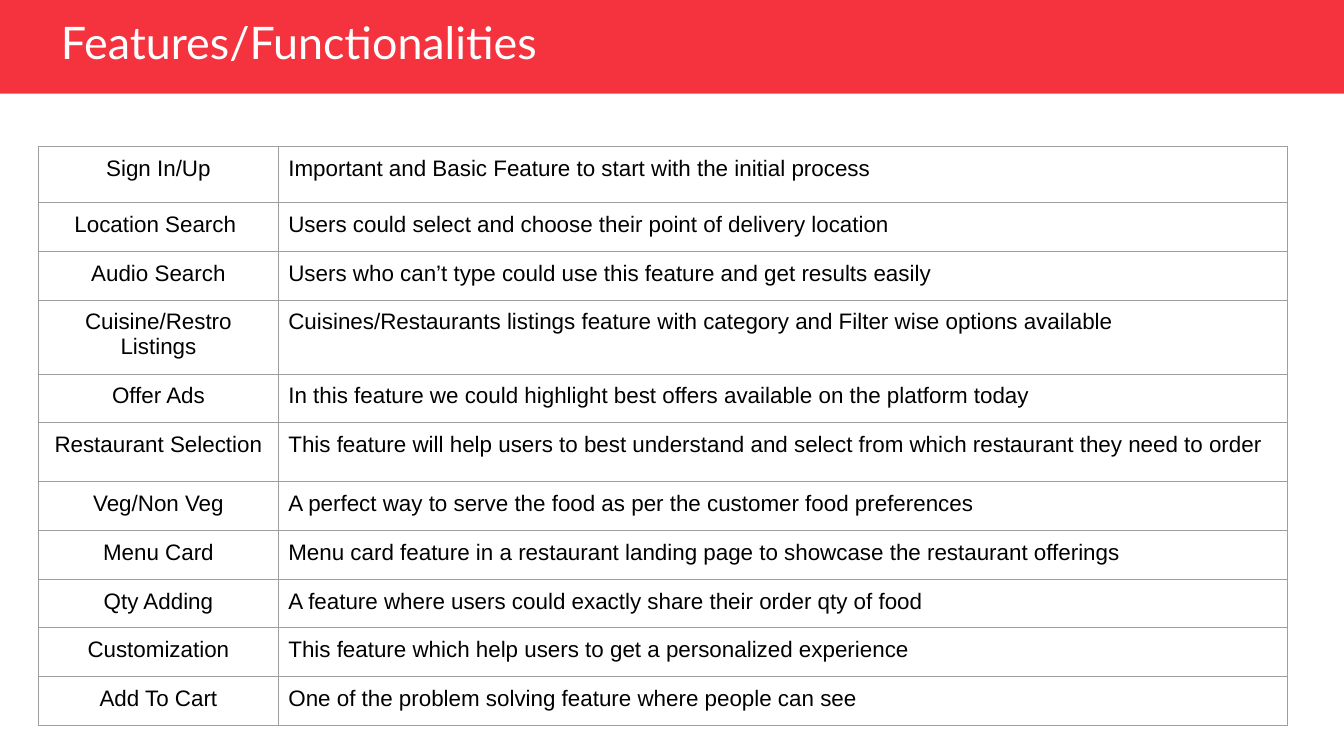
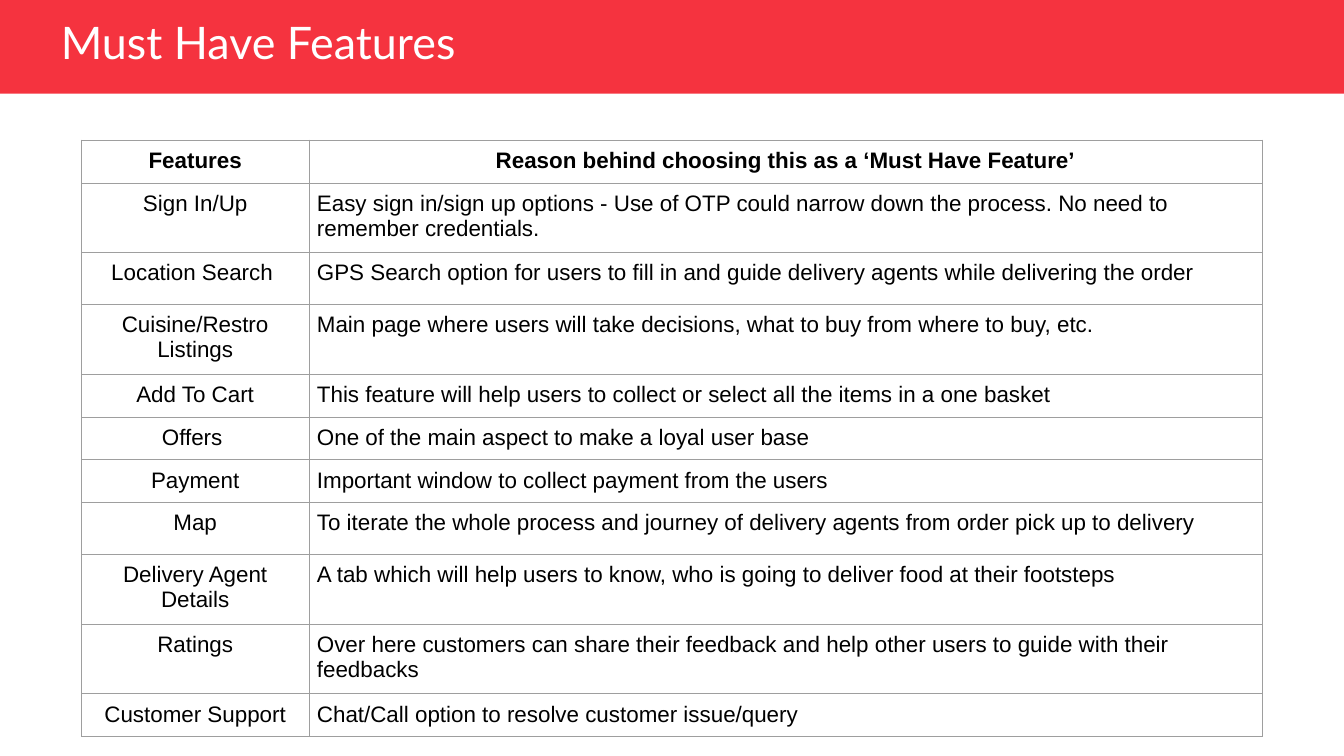
import pptx
import pptx.dml.color
import pptx.enum.shapes
import pptx.enum.text
import pptx.oxml.ns
import pptx.util
from lxml import etree

Cm = pptx.util.Cm
Pt = pptx.util.Pt
ALIGN = pptx.enum.text.PP_ALIGN

FEATURES = [
    ("Sign In/Up", "Important and Basic Feature to start with the initial process"),
    ("Location Search ", "Users could select and choose their point of delivery location"),
    ("Audio Search", "Users who can’t type could use this feature and get results easily"),
    ("Cuisine/Restro Listings",
     "Cuisines/Restaurants listings feature with category and Filter wise options available"),
    ("Offer Ads", "In this feature we could highlight best offers available on the platform today"),
    ("Restaurant Selection",
     "This feature will help users to best understand and select from which restaurant they need to order"),
    ("Veg/Non Veg", "A perfect way to serve the food as per the customer food preferences"),
    ("Menu Card", "Menu card feature in a restaurant landing page to showcase the restaurant offerings"),
    ("Qty Adding", "A feature where users could exactly share their order qty of food"),
    ("Customization", "This feature which help users to get a personalized experience"),
    ("Add To Cart", "One of the problem solving feature where people can see "),
]

MUST_HAVES = [
    ("Features", "Reason behind choosing this as a ‘Must Have Feature’"),
    ("Sign In/Up",
     "Easy sign in/sign up options - Use of OTP could narrow down the process. "
     "No need to remember credentials."),
    ("Location Search ",
     "GPS Search option for users to fill in and guide delivery agents while delivering the order"),
    ("Cuisine/Restro Listings",
     "Main page where users will take decisions, what to buy from where to buy, etc."),
    ("Add To Cart", "This feature will help users to collect or select all the items in a one basket"),
    ("Offers ", "One of the main aspect to make a loyal user base"),
    ("Payment", "Important window to collect payment from the users"),
    ("Map", "To iterate the whole process and journey of delivery agents from order pick up to delivery"),
    ("Delivery Agent Details",
     "A tab which will help users to know, who is going to deliver food at their footsteps"),
    ("Ratings",
     "Over here customers can share their feedback and help other users to guide with their feedbacks"),
    ("Customer Support", "Chat/Call option to resolve customer issue/query"),
]


def color(hex_code):
    return pptx.dml.color.RGBColor.from_string(hex_code)


class Deck:
    RED, WHITE, BLACK, GRID = "F5333F", "FFFFFF", "000000", "9E9E9E"
    TITLE_FONT, BODY_FONT = "Lato", "Arial"

    def __init__(self):
        self.prs = pptx.Presentation()
        self.prs.slide_width, self.prs.slide_height = Cm(25.4), Cm(14.29)
        self.slide = None

    def add_slide(self, title):
        self.slide = self.prs.slides.add_slide(self.prs.slide_layouts[6])
        self.band()
        self.title(title)

    def band(self):
        band = self.slide.shapes.add_shape(
            pptx.enum.shapes.MSO_SHAPE.RECTANGLE, 0, 0, self.prs.slide_width, Cm(1.77))
        band.shadow.inherit = False
        band.fill.solid()
        band.fill.fore_color.rgb = color(self.RED)
        band.line.fill.background()

    def title(self, text):
        frame = self.slide.shapes.add_textbox(Cm(0.9), Cm(0.32), Cm(10.4), Cm(1.06)).text_frame
        frame.word_wrap = True
        frame.vertical_anchor = pptx.enum.text.MSO_ANCHOR.MIDDLE
        frame.text = text
        paragraph = frame.paragraphs[0]
        paragraph.line_spacing = 0.9
        self.style(paragraph, self.TITLE_FONT, 24, self.WHITE)

    def table(self, entries, left, top, widths, heights, inset, header=False):
        """Two columns: centred feature names, then descriptions; lengths in cm."""
        table = self.slide.shapes.add_table(
            len(entries), len(widths), Cm(left), Cm(top), Cm(sum(widths)), Cm(sum(heights))).table
        table.first_row = header
        table.horz_banding = False
        for column, width in zip(table.columns, widths):
            column.width = Cm(width)
        for row, height in zip(table.rows, heights):
            row.height = Cm(height)
        for row_no, entry in enumerate(entries):
            is_header = header and row_no == 0
            for column_no, text in enumerate(entry):
                centred = is_header or column_no == 0
                self.cell(table.cell(row_no, column_no), text, inset, centred, is_header)

    def cell(self, cell, text, inset, centred, bold):
        cell.margin_left = cell.margin_right = Cm(inset)
        cell.margin_top = cell.margin_bottom = Cm(inset)
        self.borders(cell)
        cell.fill.background()
        cell.text = text
        paragraph = cell.text_frame.paragraphs[0]
        paragraph.alignment = ALIGN.CENTER if centred else ALIGN.LEFT
        self.style(paragraph, self.BODY_FONT, 12, self.BLACK, bold)

    def borders(self, cell):
        qn = pptx.oxml.ns.qn
        properties = cell._tc.get_or_add_tcPr()
        for side in ("lnL", "lnR", "lnT", "lnB"):
            line = etree.SubElement(properties, qn(f"a:{side}"), w=str(Pt(0.6)))
            fill = etree.SubElement(line, qn("a:solidFill"))
            etree.SubElement(fill, qn("a:srgbClr"), val=self.GRID)

    def style(self, paragraph, name, size, hex_code, bold=False):
        font = paragraph.font
        font.name, font.size, font.bold = name, Pt(size), bold
        font.color.rgb = color(hex_code)


def main():
    deck = Deck()

    deck.add_slide("Features/Functionalities")
    deck.table(FEATURES, 0.72, 2.77, (4.55, 19.07),
               [1.06, 0.92, 0.92, 1.4, 0.92, 1.12] + [0.92] * 5, inset=0.18)

    deck.add_slide("Must Have Features")
    one_line, roomy, two_lines = 0.78, 0.98, 1.25
    deck.table(MUST_HAVES, 1.54, 2.65, (4.3, 18.02),
               [one_line, two_lines, roomy, two_lines] + [one_line] * 3
               + [roomy, two_lines, two_lines, one_line], inset=0.15, header=True)

    deck.prs.save("out.pptx")


if __name__ == "__main__":
    main()
